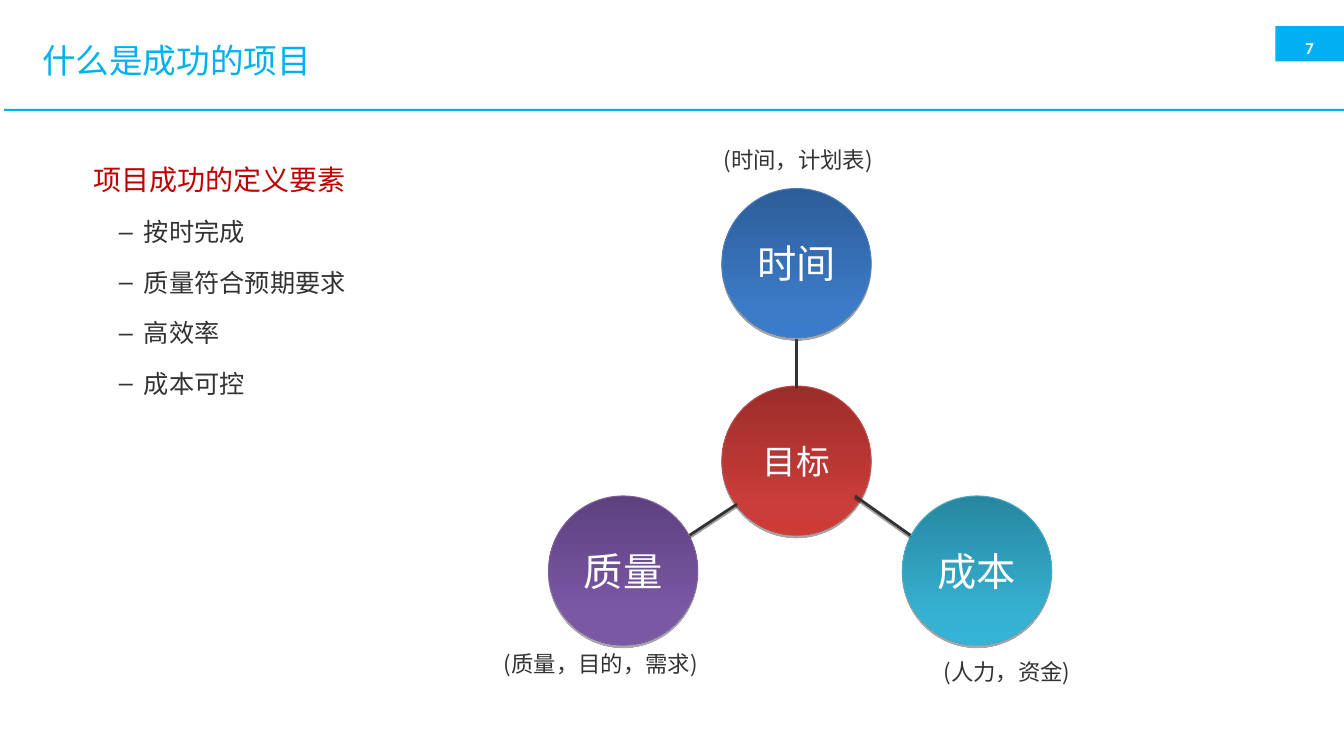
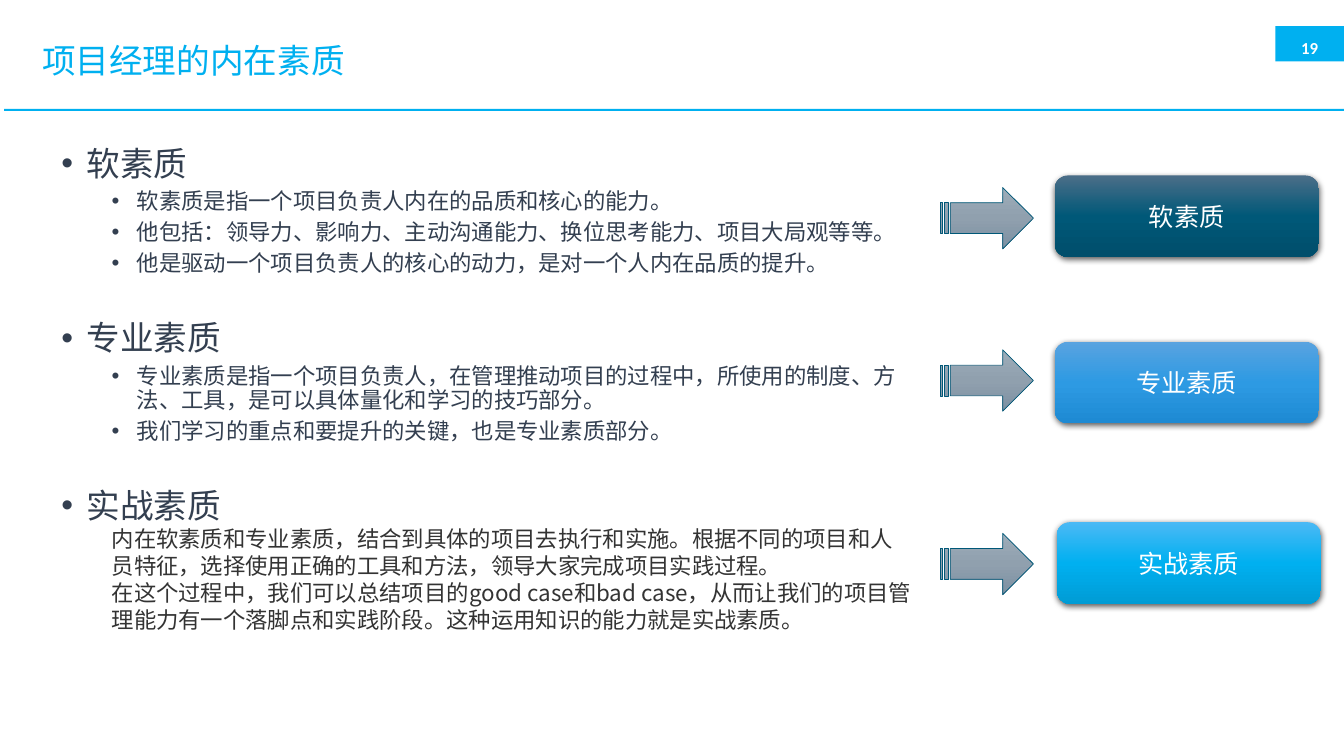
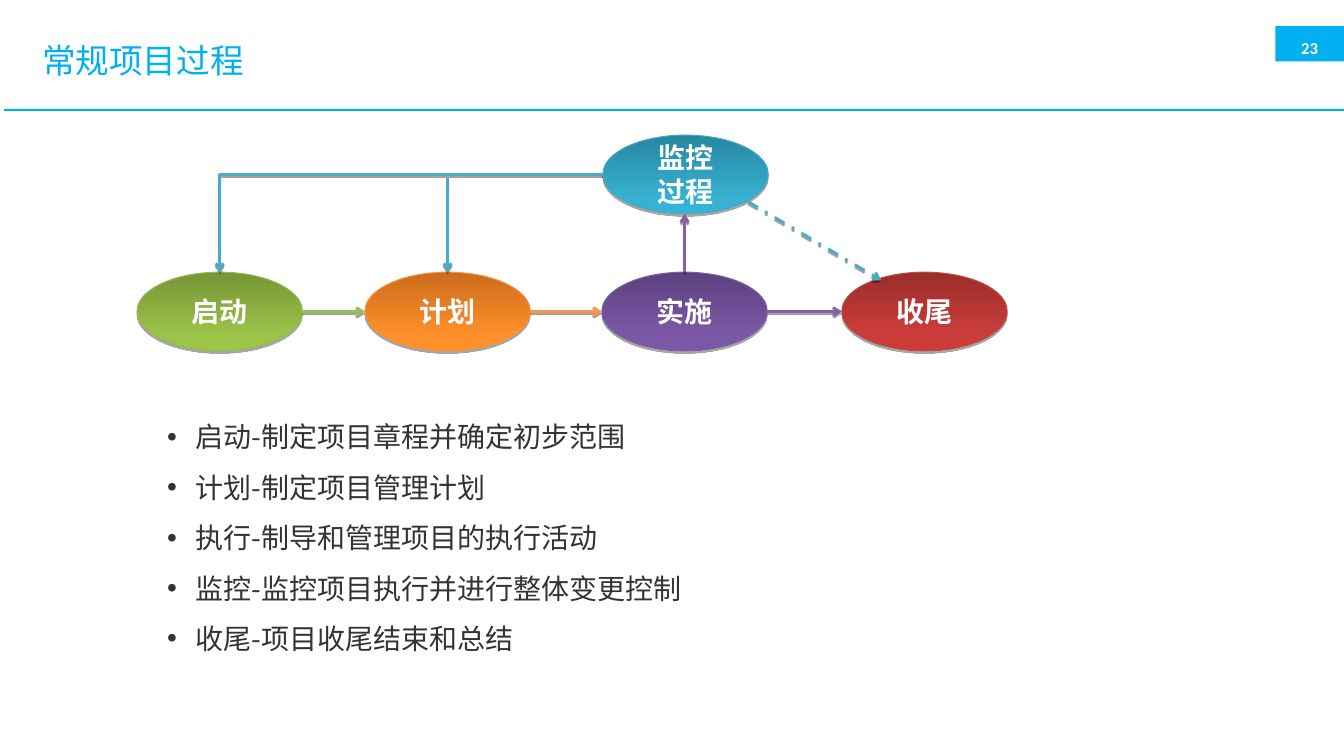
from dataclasses import dataclass

from lxml import etree
from pptx import Presentation
from pptx.dml.color import RGBColor
from pptx.enum.dml import MSO_LINE
from pptx.enum.shapes import MSO_CONNECTOR, MSO_SHAPE
from pptx.enum.text import MSO_ANCHOR, PP_ALIGN
from pptx.oxml.ns import qn
from pptx.util import Inches, Pt

LEFT, CENTER, RIGHT = PP_ALIGN.LEFT, PP_ALIGN.CENTER, PP_ALIGN.RIGHT
TOP, MIDDLE, BOTTOM = MSO_ANCHOR.TOP, MSO_ANCHOR.MIDDLE, MSO_ANCHOR.BOTTOM
STRAIGHT, ELBOW = MSO_CONNECTOR.STRAIGHT, MSO_CONNECTOR.ELBOW
RECTANGLE, OVAL = MSO_SHAPE.RECTANGLE, MSO_SHAPE.OVAL
ROUNDED, STRIPED_ARROW = MSO_SHAPE.ROUNDED_RECTANGLE, MSO_SHAPE.STRIPED_RIGHT_ARROW
DASH_DOT = MSO_LINE.DASH_DOT


@dataclass(frozen=True)
class Gradient:
    stops: tuple
    line: str = None
    line_width: float = 0.75


class Theme:
    font, number_font = "Noto Sans CJK SC", "Calibri"
    accent, text, heading, key, white = "00B0F0", "333333", "333F50", "C00000", "FFFFFF"
    number, label, body, lead, title, node = 12, 16, 18, 20, 24, 28
    red = Gradient(((0, "9B2D2A"), (80, "CB3D3A"), (100, "CE3B37")), "BE4B48")
    blue = Gradient(((0, "2C5D98"), (80, "3C7BC7"), (100, "3A7CCB")), "4A7EBB")
    purple = Gradient(((0, "5D417E"), (80, "7B58A6"), (100, "7B57A8")), "7D60A0")
    teal = Gradient(((0, "2787A0"), (80, "36B1D2"), (100, "34B3D6")), "46AAC5")
    green = Gradient(((0, "769535"), (80, "9BC348"), (100, "9CC746")), "98B954")
    orange = Gradient(((0, "CB6C1D"), (80, "FF8F2A"), (100, "FF8F26")), "F69240")
    navy = Gradient(((0, "4B6E88"), (50, "005878"), (100, "004E6B")))
    azure = Gradient(((0, "59A3E0"), (50, "2D9AE3"), (100, "1E8AD3")))
    sky = Gradient(((0, "4BB9F5"), (50, "00B0F0"), (100, "009CD5")))
    grey = Gradient(((0, "9DACB9"), (50, "90A0AE"), (100, "7C90A2")), "005878", 0.5)
    green_line, orange_line, purple_line, teal_line = "9BBB59", "F79646", "8064A2", "4BACC6"
    # opacity in percent, blur and distance in points
    node_shadow, line_shadow, card_shadow = (34, 0, 1.8), (37, 0, 1.6), (63, 4.5, 1.5)


@dataclass(frozen=True)
class Style:
    size: float
    color: str = Theme.text
    bold: bool = False
    align: PP_ALIGN = LEFT
    spacing: float = 1.0
    before: float = 0
    bullet: str = None
    margin: float = 0
    indent: float = 0
    font: str = Theme.font


TITLE = Style(Theme.title, Theme.accent, spacing=0.9)
NUMBER = Style(Theme.number, Theme.white, True, CENTER, font=Theme.number_font)
CENTER_NODE = Style(Theme.title, Theme.white, align=CENTER)
OUTER_NODE = Style(Theme.node, Theme.white, align=CENTER)
CARD = Style(Theme.body, Theme.white, align=CENTER)
STEP = Style(Theme.lead, Theme.white, True, CENTER)
LABEL = Style(Theme.label)
LABEL_RIGHT = Style(Theme.label, align=RIGHT)
KEY = Style(Theme.lead, Theme.key, spacing=1.5)
DASHED = Style(Theme.body, spacing=1.5, before=3.6, bullet="–", margin=0.5, indent=-0.25)
TOPIC = Style(Theme.title, Theme.heading, spacing=0.9, before=32,
              bullet="•", margin=0.25, indent=-0.25)
POINT = Style(Theme.label, Theme.heading, spacing=0.9, before=5,
              bullet="•", margin=0.75, indent=-0.25)
PLAIN = Style(Theme.label, margin=0.5)
PROCESS = Style(Theme.lead, spacing=1.5, bullet="•", margin=0.28, indent=-0.28)

# Slide 1
SUCCESS_FACTORS = [("项目成功的定义要素", KEY)] + [
    (text, DASHED) for text in ("按时完成", "质量符合预期要求", "高效率", "成本可控")]
CIRCLE = 1.48
GOAL_CIRCLES = [
    ("目标", 7.16, 3.83, Theme.red, CENTER_NODE),
    ("时间", 7.16, 1.87, Theme.blue, OUTER_NODE),
    ("质量", 5.44, 4.92, Theme.purple, OUTER_NODE),
    ("成本", 8.95, 4.92, Theme.teal, OUTER_NODE),
]
GOAL_LABELS = [
    ("(时间，计划表)", 7.08, 1.4, 1.88, LABEL),
    ("(质量，目的，需求)", 4.26, 6.4, 2.76, LABEL_RIGHT),
    ("(人力，资金)", 9.26, 6.48, 1.8, LABEL),
]
SPOKES = [(9.03, 5.31, 8.48, 4.92), (7.9, 3.36, 7.9, 3.83), (7.31, 5, 6.84, 5.31)]

# Slide 2
QUALITIES = [
    ("软素质", TOPIC),
    ("软素质是指一个项目负责人内在的品质和核心的能力。", POINT),
    ("他包括：领导力、影响力、主动沟通能力、换位思考能力、项目大局观等等。", POINT),
    ("他是驱动一个项目负责人的核心的动力，是对一个人内在品质的提升。", POINT),
    ("专业素质", TOPIC),
    ("专业素质是指一个项目负责人，在管理推动项目的过程中，所使用的制度、方法、工具，"
     "是可以具体量化和学习的技巧部分。", POINT),
    ("我们学习的重点和要提升的关键，也是专业素质部分。", POINT),
    ("实战素质", TOPIC),
    ("内在软素质和专业素质，结合到具体的项目去执行和实施。根据不同的项目和人员特征，"
     "选择使用正确的工具和方法，领导大家完成项目实践过程。", PLAIN),
    ("在这个过程中，我们可以总结项目的good case和bad case，从而让我们的项目管理能力"
     "有一个落脚点和实践阶段。这种运用知识的能力就是实战素质。", PLAIN),
]
QUALITY_CARDS = [  # text, card left, card top, arrow top, fill
    ("软素质", 10.46, 1.74, 1.86, Theme.navy),
    ("专业素质", 10.46, 3.39, 3.47, Theme.azure),
    ("实战素质", 10.48, 5.18, 5.29, Theme.sky),
]

# Slide 3
STEP_WIDTH, STEP_HEIGHT, STEP_TOP = 1.64, 0.78, 2.7
STEPS = [
    (["启动"], 1.36, STEP_TOP, Theme.green),
    (["计划"], 3.62, STEP_TOP, Theme.orange),
    (["实施"], 5.97, STEP_TOP, Theme.purple),
    (["收尾"], 8.35, STEP_TOP, Theme.red),
    (["监控", "过程"], 5.98, 1.34, Theme.teal),
]
FLOW_COLORS = [Theme.green_line, Theme.orange_line, Theme.purple_line]
PROCESS_NOTES = [
    "启动-制定项目章程并确定初步范围",
    "计划-制定项目管理计划",
    "执行-制导和管理项目的执行活动",
    "监控-监控项目执行并进行整体变更控制",
    "收尾-项目收尾结束和总结",
]


def child(parent, tag, **attributes):
    return etree.SubElement(parent, qn(tag), {k: str(v) for k, v in attributes.items()})


def write(shape, lines, anchor=TOP, inset=None):
    """Fill a shape with (text, style) paragraphs."""
    frame = shape.text_frame
    frame.word_wrap = True
    frame.vertical_anchor = anchor
    if inset is not None:
        frame.margin_left = frame.margin_right = Inches(inset)
        frame.margin_top = frame.margin_bottom = Inches(inset)
    for index, (text, style) in enumerate(lines):
        paragraph = frame.add_paragraph() if index else frame.paragraphs[0]
        paragraph.alignment = style.align
        paragraph.line_spacing = style.spacing
        paragraph.space_before = Pt(style.before if index else 0)
        properties = paragraph._p.get_or_add_pPr()
        properties.set("marL", str(Inches(style.margin)))
        properties.set("indent", str(Inches(style.indent)))
        if style.bullet:
            child(properties, "a:buFont", typeface="Arial")
            child(properties, "a:buChar", char=style.bullet)
        run = paragraph.add_run()
        run.text = text
        run.font.size = Pt(style.size)
        run.font.bold = style.bold
        run.font.color.rgb = RGBColor.from_string(style.color)
        run.font.name = style.font
        child(run._r.get_or_add_rPr(), "a:ea", typeface=style.font)


def add_text(slide, box, lines, anchor=TOP, inset=None):
    write(slide.shapes.add_textbox(*map(Inches, box)), lines, anchor, inset)


def add_shadow(shape, shadow):
    """Cast a black shadow straight down."""
    opacity, blur, distance = shadow
    properties = shape._element.spPr
    effects = properties.find(qn("a:effectLst"))
    if effects is None:
        effects = child(properties, "a:effectLst")
    outer = child(effects, "a:outerShdw", blurRad=Pt(blur), dist=Pt(distance),
                  dir=5400000, rotWithShape=0)
    color = child(outer, "a:srgbClr", val="000000")
    child(color, "a:alpha", val=opacity * 1000)


def add_shape(slide, kind, box, fill, shadow=None):
    """Add a preset shape with a plain colour or a top-down Gradient."""
    shape = slide.shapes.add_shape(kind, *map(Inches, box))
    shape.shadow.inherit = False
    if isinstance(fill, Gradient):
        shape.fill.gradient()
        shape.fill.gradient_angle = 270
        stops = shape._element.spPr.find(qn("a:gradFill")).find(qn("a:gsLst"))
        for stop in list(stops):
            stops.remove(stop)
        for position, color in fill.stops:
            child(child(stops, "a:gs", pos=position * 1000), "a:srgbClr", val=color)
    else:
        shape.fill.solid()
        shape.fill.fore_color.rgb = RGBColor.from_string(fill)
    if isinstance(fill, Gradient) and fill.line:
        shape.line.color.rgb = RGBColor.from_string(fill.line)
        shape.line.width = Pt(fill.line_width)
    else:
        shape.line.fill.background()
    if shadow:
        add_shadow(shape, shadow)
    return shape


def add_line(slide, ends, color, arrow=True, dash=None, kind=STRAIGHT):
    line = slide.shapes.add_connector(kind, *map(Inches, ends))
    line.line.color.rgb = RGBColor.from_string(color)
    line.line.width = Pt(2)
    if dash:
        line.line.dash_style = dash
    if kind == ELBOW:  # a single corner
        line._element.spPr.find(qn("a:prstGeom")).set("prst", "bentConnector2")
    if arrow:
        child(line.line._get_or_add_ln(), "a:tailEnd", type="arrow")
    add_shadow(line, Theme.line_shadow)


def start_slide(presentation, title, number):
    """Add a blank slide with title, rule and page number."""
    slide = presentation.slides.add_slide(presentation.slide_layouts[6])
    add_shape(slide, RECTANGLE, (12.65, 0.26, 0.69, 0.35), Theme.accent)
    add_text(slide, (12.75, 0.3, 0.48, 0.27), [(str(number), NUMBER)], BOTTOM, 0)
    add_shape(slide, RECTANGLE, (0.04, 1.08, 13.31, 0.02), Theme.accent)
    add_text(slide, (0.32, 0.27, 11.74, 0.7), [(title, TITLE)], MIDDLE)
    return slide


def build_success(presentation):
    slide = start_slide(presentation, "什么是成功的项目", 7)
    add_text(slide, (0.83, 1.4, 3.44, 3.4), SUCCESS_FACTORS)
    for text, left, top, width, style in GOAL_LABELS:
        add_text(slide, (left, top, width, 0.37), [(text, style)])
    for text, left, top, fill, style in GOAL_CIRCLES:
        circle = add_shape(slide, OVAL, (left, top, CIRCLE, CIRCLE), fill, Theme.node_shadow)
        write(circle, [(text, style)], MIDDLE)
    for ends in SPOKES:
        add_line(slide, ends, Theme.text, arrow=False)


def build_qualities(presentation):
    slide = start_slide(presentation, "项目经理的内在素质", 19)
    add_text(slide, (0.51, 1.41, 8.66, 5.33), QUALITIES)
    for text, left, top, arrow_top, fill in QUALITY_CARDS:
        card = add_shape(slide, ROUNDED, (left, top, 2.62, 0.81), fill, Theme.card_shadow)
        write(card, [(text, CARD)], MIDDLE)
        add_shape(slide, STRIPED_ARROW, (9.33, arrow_top, 0.92, 0.61), Theme.grey)


def build_process(presentation):
    slide = start_slide(presentation, "常规项目过程", 23)
    add_text(slide, (1.56, 3.95, 7.66, 2.73), [(text, PROCESS) for text in PROCESS_NOTES])
    for lines, left, top, fill in STEPS:
        step = add_shape(slide, OVAL, (left, top, STEP_WIDTH, STEP_HEIGHT), fill,
                         Theme.node_shadow)
        write(step, [(text, STEP) for text in lines], MIDDLE)

    lefts = [left for _, left, _, _ in STEPS]
    middle = STEP_TOP + STEP_HEIGHT / 2
    for left, following, color in zip(lefts, lefts[1:4], FLOW_COLORS):
        add_line(slide, (left + STEP_WIDTH, middle, following, middle), color)

    start, plan, work = (left + STEP_WIDTH / 2 for left in lefts[:3])
    control_left, control_top = STEPS[4][1:3]
    control_middle = control_top + STEP_HEIGHT / 2
    add_line(slide, (control_left, control_middle, start, STEP_TOP), Theme.teal_line, kind=ELBOW)
    add_line(slide, (plan, control_middle + 0.04, plan, STEP_TOP), Theme.teal_line)
    add_line(slide, (work, STEP_TOP, work, control_top + STEP_HEIGHT), Theme.purple_line)
    add_line(slide, (7.42, 2, 8.74, 2.78), Theme.teal_line, dash=DASH_DOT)


def main():
    presentation = Presentation()
    presentation.slide_width, presentation.slide_height = Inches(13.33), Inches(7.5)
    build_success(presentation)
    build_qualities(presentation)
    build_process(presentation)
    presentation.save("out.pptx")


if __name__ == "__main__":
    main()
